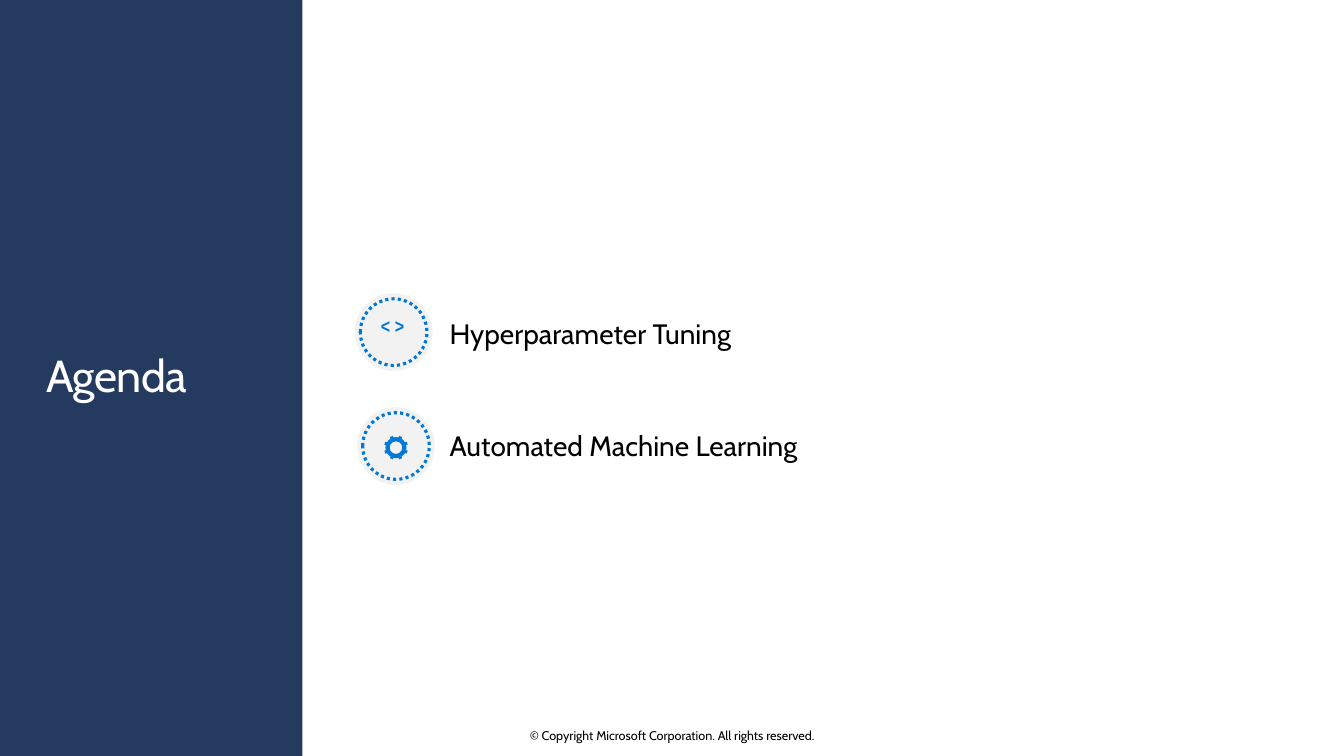
from math import cos, radians, sin

from pptx import Presentation
from pptx.dml.color import RGBColor
from pptx.enum.dml import MSO_LINE as Dash
from pptx.enum.shapes import MSO_SHAPE as Kind
from pptx.enum.text import MSO_ANCHOR as Anchor, PP_ALIGN as Align
from pptx.util import Cm, Pt

NAVY = RGBColor(0x24, 0x3A, 0x5E)
BLUE = RGBColor(0x00, 0x78, 0xD4)
PALE = RGBColor(0xF2, 0xF2, 0xF2)
WHITE = RGBColor(0xFF, 0xFF, 0xFF)
BLACK = RGBColor(0x00, 0x00, 0x00)
WIDE, HIGH = 33.87, 19.05
DISC, RING = 1.96, 1.68


def add_shape(slide, kind, box, fill=None):
    shape = slide.shapes.add_shape(kind, *map(Cm, box))
    shape.shadow.inherit = False
    shape.line.fill.background()
    if fill is None:
        shape.fill.background()
    else:
        shape.fill.solid()
        shape.fill.fore_color.rgb = fill
    return shape


def add_text(slide, box, text, size, color, font="Cabin",
             pad=(0, 0, 0, 0), wrap=True, anchor=Anchor.MIDDLE):
    frame = slide.shapes.add_textbox(*map(Cm, box)).text_frame
    frame.word_wrap = wrap
    frame.vertical_anchor = anchor
    (frame.margin_left, frame.margin_top,
     frame.margin_right, frame.margin_bottom) = map(Cm, pad)
    frame.text = text
    para = frame.paragraphs[0]
    run = para.runs[0]
    run.font.name = font
    run.font.size = Pt(size)
    run.font.color.rgb = color
    return para, run


# Side panel with the title
def add_panel(slide, left, top, width, height):
    add_shape(slide, Kind.RECTANGLE, (left, top, width, height), NAVY)
    box = (left + 1.17, top + 8.59, 5.44, 1.88)
    para, run = add_text(slide, box, "Agenda", 32, WHITE,
                         pad=(0, 0.25, 0.41, 0.25))
    para.line_spacing = 0.9
    run.font._element.set("spc", "-50")


# Icons, each centred on x, y
def draw_code(slide, x, y):
    box = (x - 0.83, y - 0.67, 1.63, 1.37)
    para, run = add_text(slide, box, "< >", 14, BLUE, "Arial Narrow",
                         (0.51, 0.41, 0.51, 0.41), False, Anchor.TOP)
    para.line_spacing = 0.9
    run.font.bold = True


def draw_gear(slide, x, y):
    y += 0.04
    size, reach, long, deep = 0.53, 0.28, 0.08, 0.05
    ring = add_shape(slide, Kind.DONUT,
                     (x - size / 2, y - size / 2, size, size), BLUE)
    ring.adjustments[0] = 0.2
    for step in range(8):
        turn = 22.5 + 45 * step
        mid_x = x + reach * cos(radians(turn))
        mid_y = y + reach * sin(radians(turn))
        box = (mid_x - deep / 2, mid_y - long / 2, deep, long)
        add_shape(slide, Kind.RECTANGLE, box, BLUE).rotation = turn


# Round badge that holds an icon
def add_badge(slide, left, top, draw):
    add_shape(slide, Kind.OVAL, (left, top, DISC, DISC), PALE)
    gap = (DISC - RING) / 2
    ring = add_shape(slide, Kind.OVAL, (left + gap, top + gap, RING, RING))
    ring.line.color.rgb = BLUE
    ring.line.width = Pt(2.25)
    ring.line.dash_style = Dash.ROUND_DOT
    draw(slide, left + DISC / 2, top + DISC / 2)


# Agenda rows
def add_topics(slide, left, top, width):
    topics = (("Hyperparameter Tuning", draw_code),
              ("Automated Machine Learning", draw_gear))
    for row, (label, draw) in enumerate(topics):
        add_badge(slide, left + 0.06 * row, top + 2.87 * row, draw)
        box = (left + 2.39, top - 0.68 + 2.82 * row, width - 2.39, 3.4)
        para, run = add_text(slide, box, label, 20, BLACK)
        para.space_after = Pt(4)


# Copyright line
def add_footer(slide, left, top, width, height):
    para, run = add_text(
        slide, (left, top, width, height),
        "© Copyright Microsoft Corporation. All rights reserved.", 9, BLACK)
    para.alignment = Align.CENTER


def main():
    deck = Presentation()
    deck.slide_width, deck.slide_height = Cm(WIDE), Cm(HIGH)
    slide = deck.slides.add_slide(deck.slide_layouts[6])
    add_panel(slide, 0, 0, 7.62, HIGH)
    add_footer(slide, 11.22, 18.34, 11.43, 0.38)
    add_topics(slide, 8.94, 7.39, 23.78)
    deck.save("out.pptx")


if __name__ == "__main__":
    main()
